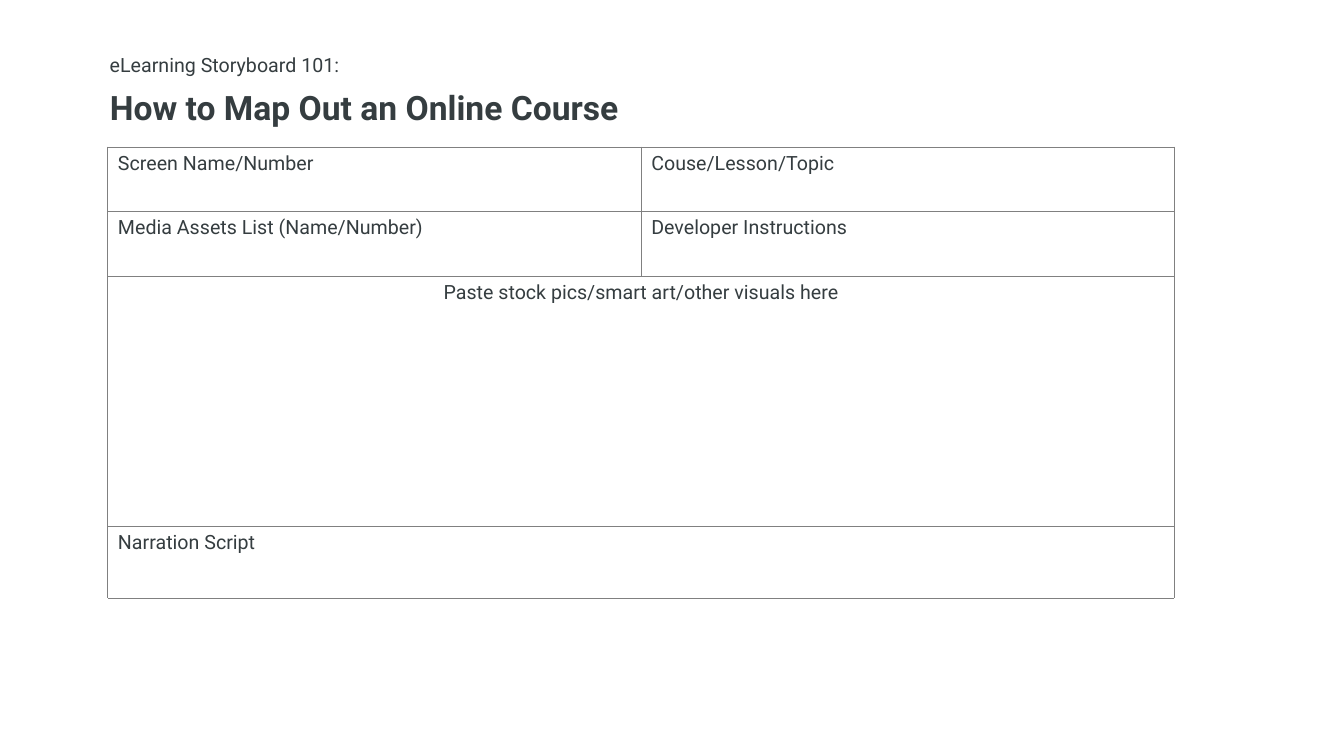
from dataclasses import dataclass

from lxml.etree import SubElement
from pptx import Presentation
from pptx.dml.color import RGBColor
from pptx.enum.text import MSO_ANCHOR, PP_ALIGN
from pptx.oxml.ns import qn
from pptx.util import Inches, Pt


@dataclass(frozen=True)
class Theme:
    font: str = "Roboto"
    ink: str = "353D40"
    paper: str = "FFFFFF"
    rule: str = "808080"
    label_size: int = 14
    title_size: int = 24
    rule_width: int = 1


THEME = Theme()

COLUMN_WIDTH = 5.29
ROW_HEIGHTS = [0.64, 0.64, 2.48, 0.72, 0.72]
# One label means that the row spans both columns
ROWS = [
    ["Screen Name/Number", "Couse/Lesson/Topic"],
    ["Media Assets List (Name/Number)", "Developer Instructions"],
    ["Paste stock pics/smart art/other visuals here"],
    ["Narration Script"],
    [""],
]
VISUALS_ROW = 2
BLANK_ROW = 4


def write_text(frame, text, size, bold=False, align=PP_ALIGN.LEFT):
    frame.text = text
    para = frame.paragraphs[0]
    para.alignment = align
    for span in [para, *para.runs]:
        span.font.name = THEME.font
        span.font.size = Pt(size)
        span.font.bold = bold
        span.font.color.rgb = RGBColor.from_string(THEME.ink)


def place_heading(box, left, top, width, height, text, size, bold=False):
    box.left, box.top = Inches(left), Inches(top)
    box.width, box.height = Inches(width), Inches(height)
    frame = box.text_frame
    frame.word_wrap = True
    frame.vertical_anchor = MSO_ANCHOR.TOP
    write_text(frame, text, size, bold)


def set_borders(cell, colours):
    """Draw the cell's edges, given as a colour for each of L, R, T, B."""
    properties = cell._tc.get_or_add_tcPr()
    for position, (side, colour) in enumerate(colours.items()):
        line = SubElement(properties, qn(f"a:ln{side}"), w=str(Pt(THEME.rule_width)))
        fill = SubElement(line, qn("a:solidFill"))
        SubElement(fill, qn("a:srgbClr"), val=colour)
        properties.insert(position, line)


def add_storyboard(page, left, top):
    width, height = 2 * COLUMN_WIDTH, sum(ROW_HEIGHTS)
    table = page.shapes.add_table(
        len(ROWS), 2, Inches(left), Inches(top), Inches(width), Inches(height)
    ).table
    table.first_row = table.horz_banding = False
    for column in table.columns:
        column.width = Inches(COLUMN_WIDTH)

    for index, labels in enumerate(ROWS):
        table.rows[index].height = Inches(ROW_HEIGHTS[index])
        if len(labels) == 1:
            table.cell(index, 0).merge(table.cell(index, 1))
        align = PP_ALIGN.CENTER if index == VISUALS_ROW else PP_ALIGN.LEFT
        for column, label in enumerate(labels):
            write_text(table.cell(index, column).text_frame, label,
                       THEME.label_size, align=align)

        # The blank row keeps only its upper rule
        edge = THEME.paper if index == BLANK_ROW else THEME.rule
        borders = {"L": edge, "R": edge, "T": THEME.rule, "B": edge}
        for cell in table.rows[index].cells:
            cell.fill.solid()
            cell.fill.fore_color.rgb = RGBColor.from_string(THEME.paper)
            set_borders(cell, borders)


def main():
    deck = Presentation()
    deck.slide_width, deck.slide_height = Inches(13.33), Inches(7.5)
    page = deck.slides.add_slide(deck.slide_layouts[5])

    # Headings
    eyebrow = page.shapes.add_textbox(0, 0, 0, 0)
    place_heading(eyebrow, 0.99, 0.48, 5.03, 0.34,
                  "eLearning Storyboard 101:", THEME.label_size)
    place_heading(page.shapes.title, 0.99, 0.81, 5.97, 0.5,
                  "How to Map Out an Online Course", THEME.title_size, bold=True)

    # Storyboard form
    add_storyboard(page, 1.07, 1.46)
    deck.save("out.pptx")


if __name__ == "__main__":
    main()
